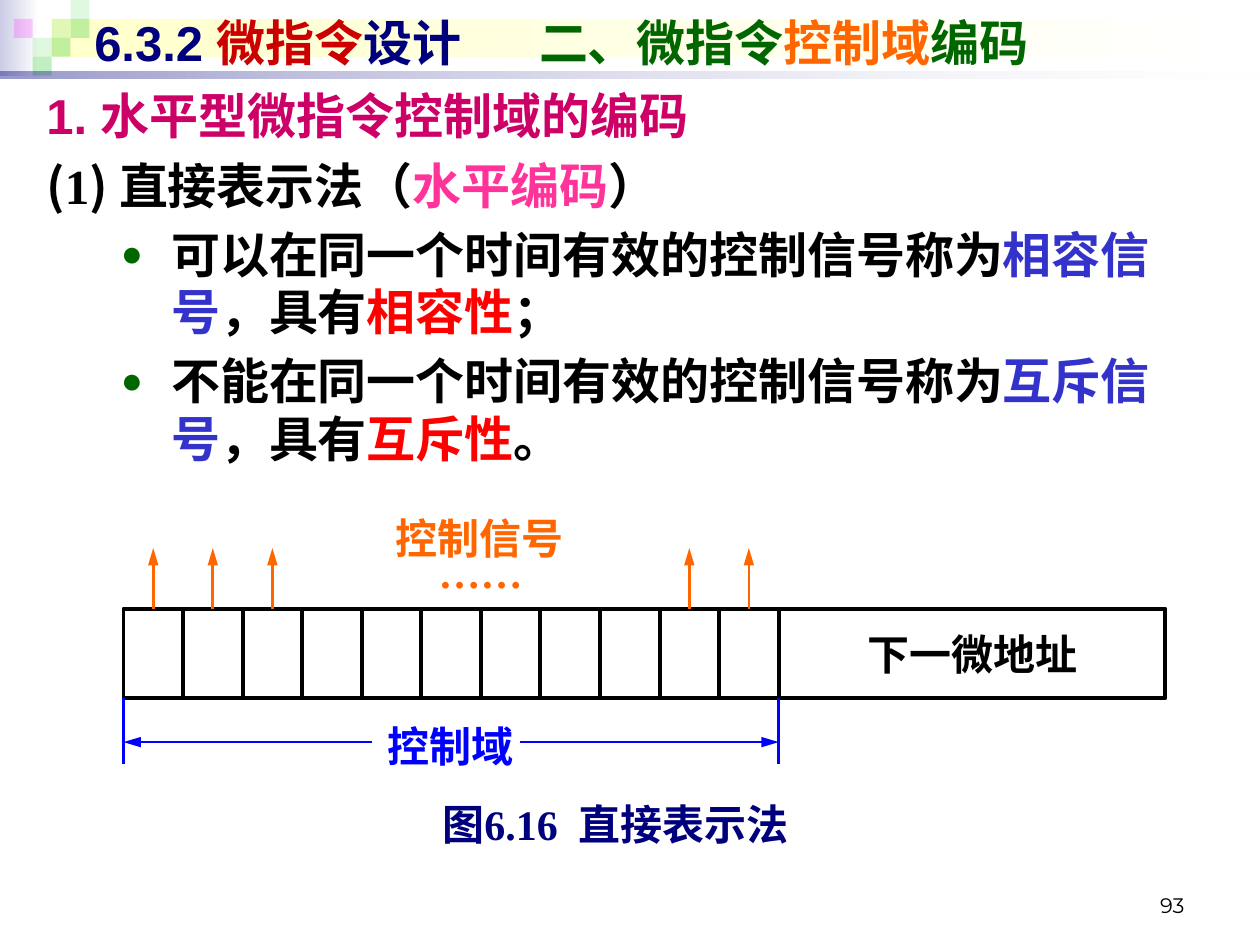
from lxml.etree import SubElement
from pptx import Presentation
from pptx.dml.color import RGBColor
from pptx.enum.shapes import MSO_CONNECTOR, MSO_SHAPE
from pptx.enum.text import MSO_ANCHOR, PP_ALIGN
from pptx.oxml.ns import qn
from pptx.util import Inches, Pt

CJK = "Noto Sans CJK SC"
SERIF = "Times New Roman"
BLACK, NAVY, GREEN = "000000", "00007D", "006600"
ORANGE, BLUE, PERIWINKLE, RED = "FF6600", "0000FF", "3333CC", "FF0000"


def color(value):
    return RGBColor.from_string(value)


def write(paragraph, *parts, size=28, font=SERIF, east=CJK, bold=True, align=None):
    """Add (text, colour) parts, each with an optional font of its own."""
    paragraph.alignment = align
    for text, fill, *own_font in parts:
        span = paragraph.add_run()
        span.text = text
        span.font.size = Pt(size)
        span.font.bold = bold
        span.font.color.rgb = color(fill)
        span.font.name = own_font[0] if own_font else font
        SubElement(span.font._element, qn("a:ea"), typeface=east)


deck = Presentation()
deck.slide_width, deck.slide_height = Inches(10), Inches(7.5)
page = deck.slides.add_slide(deck.slide_layouts[6])
shapes = page.shapes

# Header decoration: gradient bands and a mosaic of translucent squares.
# Each stop is a colour and an opacity in percent.
square = 0.15
decorations = [
    (0, 0, 0.31, 0.6, [("CCCCE6", 100), ("FFFFFF", 100)]),
    (0.41, 0.15, 9.55, 0.3, [("FFFFCC", 100), ("FFFFFF", 100)]),
]
for column, row, tint, opacity in [
    (2, 1, "33CC33", 15), (3, 0, "33CC33", 15), (3, 1, "33CC33", 30),
    (1, 2, "33CC33", 15), (0, 1, "FF00FF", 20), (2, 2, "33CC33", 30),
    (1, 3, "33CC33", 30),
]:
    left = 0.11 + column * square
    decorations.append((left, row * square, square, square, [(tint, opacity)]))
decorations.append((0, 0.57, 10, 0.05, [(NAVY, 40), ("FFFFFF", 10)]))

for left, top, width, height, stops in decorations:
    band = shapes.add_shape(MSO_SHAPE.RECTANGLE, Inches(left), Inches(top),
                            Inches(width), Inches(height))
    band.shadow.inherit = False
    band.line.fill.background()
    if len(stops) == 2:
        band.fill.gradient()
        band.fill.gradient_angle = 0
        for stop, (tint, _) in zip(band.fill.gradient_stops, stops):
            stop.color.rgb = color(tint)
    else:
        band.fill.solid()
        band.fill.fore_color.rgb = color(stops[0][0])
    tints = band._element.spPr.iter(qn("a:srgbClr"))
    for element, (_, opacity) in zip(tints, stops):
        if opacity < 100:
            SubElement(element, qn("a:alpha"), val=str(opacity * 1000))

# Page number
box = shapes.add_textbox(Inches(7.17), Inches(6.83), Inches(2.33), Inches(0.5))
box.text_frame.word_wrap = True
box.text_frame.vertical_anchor = MSO_ANCHOR.BOTTOM
write(box.text_frame.paragraphs[0], ("93", BLACK), size=12, font="Montserrat",
      bold=False, align=PP_ALIGN.RIGHT)

# Title, its second half set at a tab stop
box = shapes.add_textbox(Inches(0.65), Inches(0.05), Inches(9.23), Inches(0.57))
box.text_frame.word_wrap = True
box.text_frame.vertical_anchor = MSO_ANCHOR.MIDDLE
title = box.text_frame.paragraphs[0]
tabs = SubElement(title._p.get_or_add_pPr(), qn("a:tabLst"))
SubElement(tabs, qn("a:tab"), pos=str(Inches(3.53)), algn="l")
write(title, ("6.3.2 ", NAVY), ("微指令", "CC0000"), ("设计\t", NAVY),
      ("二、微指令", GREEN), ("控制域", ORANGE), ("编码", GREEN), font="Arial")

# Section heading
box = shapes.add_textbox(Inches(0.27), Inches(0.64), Inches(9.46), Inches(0.55))
box.text_frame.word_wrap = True
heading = box.text_frame.paragraphs[0]
heading.line_spacing = Pt(33)
write(heading, ("1. 水平型微指令控制域的编码", "CC0066"), font="Arial")

# Body: one numbered line and two bullets
box = shapes.add_textbox(Inches(0.27), Inches(1.19), Inches(9.61), Inches(2.7))
body = box.text_frame
body.word_wrap = True
body.margin_right = Inches(0.45)
numbered = body.paragraphs[0]
numbered.line_spacing = Pt(33)
write(numbered, ("(", BLACK, CJK), ("1", BLACK), (") ", BLACK, CJK),
      ("直接表示法（", BLACK), ("水平编码", "FF3399"), ("）", BLACK))

for opening, term, quality, ending in [
    ("可以在同一个时间有效的控制信号称为", "相容信号", "相容性", "；"),
    ("不能在同一个时间有效的控制信号称为", "互斥信号", "互斥性", "。"),
]:
    bullet = body.add_paragraph()
    bullet.level = 1
    properties = bullet._p.get_or_add_pPr()
    properties.set("marL", str(Inches(0.99)))
    properties.set("indent", str(Inches(-0.4)))
    tint = SubElement(properties, qn("a:buClr"))
    SubElement(tint, qn("a:srgbClr"), val=GREEN)
    SubElement(properties, qn("a:buSzPct"), val="75000")
    SubElement(properties, qn("a:buFont"), typeface="Arial")
    SubElement(properties, qn("a:buChar"), char="●")
    bullet.line_spacing = Pt(33)
    bullet.space_before = Pt(6.5)
    write(bullet, (opening, BLACK), (term, PERIWINKLE), ("，具有", BLACK),
          (quality, RED), (ending, BLACK))

# Microinstruction word: control bits followed by the next address
field_left, field_right, word_right = 0.98, 6.18, 9.25
word_top, word_bottom = 4.83, 5.54
bit_count = 11
bit_width = (field_right - field_left) / bit_count
edges = [field_left + bit * bit_width for bit in range(bit_count + 1)] + [word_right]
for left, right in zip(edges, edges[1:]):
    cell = shapes.add_shape(MSO_SHAPE.RECTANGLE, Inches(left), Inches(word_top),
                            Inches(right - left), Inches(word_bottom - word_top))
    cell.shadow.inherit = False
    cell.fill.background()
    cell.line.color.rgb = color(BLACK)
    cell.line.width = Pt(2.25)
cell.text_frame.vertical_anchor = MSO_ANCHOR.MIDDLE
write(cell.text_frame.paragraphs[0], ("下一微地址", BLACK), size=24,
      align=PP_ALIGN.CENTER)

# Signal arrows, field limits and dimension arrows
lines = []
for bit in (0, 1, 2, 9, 10):
    center = field_left + (bit + 0.5) * bit_width
    lines.append((center, word_top, center, 4.35, ORANGE, True))
for limit in (field_left, field_right):
    lines.append((limit, word_bottom, limit, 6.06, BLUE, False))
for start, end in ((2.95, field_left), (4.13, field_right)):
    lines.append((start, 5.89, end, 5.89, BLUE, True))

for x1, y1, x2, y2, tint, has_head in lines:
    line = shapes.add_connector(MSO_CONNECTOR.STRAIGHT, Inches(x1), Inches(y1),
                                Inches(x2), Inches(y2))
    line.line.color.rgb = color(tint)
    line.line.width = Pt(1.5)
    if has_head:
        SubElement(line.line._get_or_add_ln(), qn("a:tailEnd"),
                   type="triangle", w="med", len="lg")
    SubElement(line._element.spPr, qn("a:effectLst"))

# Diagram labels and caption
for text, left, top, width, height, tint, east in [
    ("……", 3.2, 4.18, 1.23, 0.71, ORANGE, SERIF),
    ("控制信号", 2.87, 3.99, 1.87, 0.55, ORANGE, CJK),
    ("控制域", 2.64, 5.64, 1.87, 0.55, BLUE, CJK),
    ("图6.16  直接表示法", 3.27, 6.34, 3.23, 0.4, NAVY, CJK),
]:
    box = shapes.add_textbox(Inches(left), Inches(top), Inches(width), Inches(height))
    frame = box.text_frame
    frame.word_wrap = True
    frame.vertical_anchor = MSO_ANCHOR.MIDDLE
    frame.margin_left = frame.margin_right = 0
    frame.margin_top = frame.margin_bottom = 0
    write(frame.paragraphs[0], (text, tint), size=24, east=east,
          align=PP_ALIGN.CENTER)

deck.save("out.pptx")
